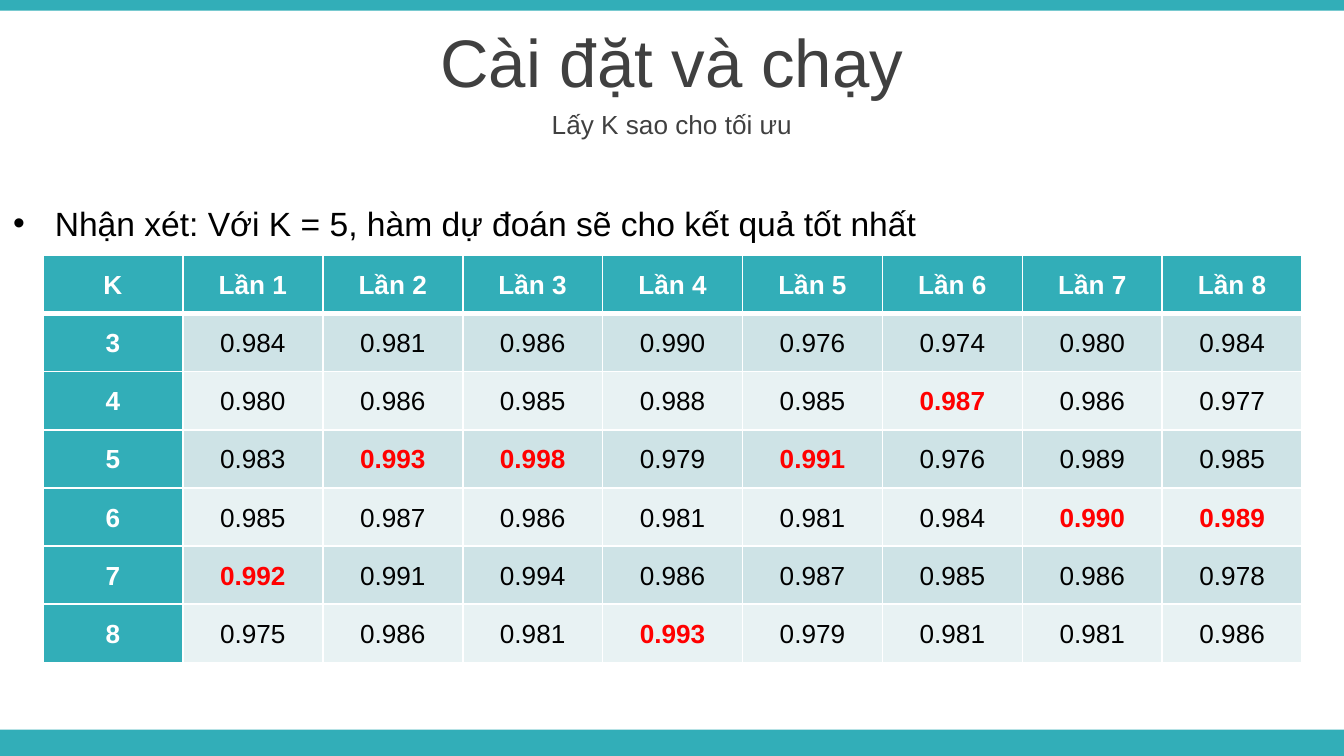
from dataclasses import dataclass

from lxml import etree
from pptx import Presentation
from pptx.dml.color import RGBColor
from pptx.enum.shapes import MSO_SHAPE
from pptx.enum.text import MSO_ANCHOR, PP_ALIGN
from pptx.oxml.ns import qn
from pptx.util import Inches, Pt

RECT = MSO_SHAPE.RECTANGLE
MIDDLE, TOP = MSO_ANCHOR.MIDDLE, MSO_ANCHOR.TOP
LEFT, CENTER = PP_ALIGN.LEFT, PP_ALIGN.CENTER

# A wide 16:9 page
WIDTH = Inches(10)
HEIGHT = WIDTH * 9 // 16

FONT = "Arial"
COLORS = {
    "teal": "32AEB8",
    "dark": "CEE3E6",
    "light": "E8F2F3",
    "gray": "404040",
    "black": "000000",
    "white": "FFFFFF",
    "red": "FF0000",
}


@dataclass
class Bar:
    top: float
    height: float


@dataclass
class Label:
    text: str
    top: float
    height: float
    size: int
    color: str = "gray"
    align: PP_ALIGN = CENTER
    anchor: MSO_ANCHOR = MIDDLE
    before: float = 0
    bullet: bool = False


BARS = [Bar(5.43, 0.2), Bar(0, 0.08)]
TITLES = [
    Label("Cài đặt và chạy", 0.14, 0.63, 36, before=7.2),
    Label("Lấy K sao cho tối ưu", 0.77, 0.31, 14, before=2.8),
]
NOTE = Label("Nhận xét: Với K = 5, hàm dự đoán sẽ cho kết quả tốt nhất",
             1.46, 0.4, 18, "black", LEFT, TOP, bullet=True)

# Score of each run, by K
SCORES = {
    3: [0.984, 0.981, 0.986, 0.990, 0.976, 0.974, 0.980, 0.984],
    4: [0.980, 0.986, 0.985, 0.988, 0.985, 0.987, 0.986, 0.977],
    5: [0.983, 0.993, 0.998, 0.979, 0.991, 0.976, 0.989, 0.985],
    6: [0.985, 0.987, 0.986, 0.981, 0.981, 0.984, 0.990, 0.989],
    7: [0.992, 0.991, 0.994, 0.986, 0.987, 0.985, 0.986, 0.978],
    8: [0.975, 0.986, 0.981, 0.993, 0.979, 0.981, 0.981, 0.986],
}


def rgb(name: str) -> RGBColor:
    return RGBColor.from_string(COLORS[name])


def put(target, form: dict) -> None:
    for key, value in form.items():
        setattr(target, key, value)


def write(para, text: str, size: int, color: str, bold: bool = False) -> None:
    run = para.add_run()
    run.text = text
    put(run.font, {"name": FONT, "size": Pt(size), "bold": bold})
    run.font.color.rgb = rgb(color)


def draw_bar(slide, bar: Bar) -> None:
    shape = slide.shapes.add_shape(
        RECT, 0, Inches(bar.top), WIDTH, Inches(bar.height))
    shape.shadow.inherit = False
    shape.fill.solid()
    shape.fill.fore_color.rgb = rgb("teal")
    shape.line.fill.background()


def draw_label(slide, label: Label) -> None:
    box = slide.shapes.add_textbox(
        0, Inches(label.top), WIDTH, Inches(label.height))
    put(box.text_frame, {"word_wrap": True, "vertical_anchor": label.anchor})
    para = box.text_frame.paragraphs[0]
    put(para, {"alignment": label.align, "space_before": Pt(label.before)})
    if label.bullet:
        props = para._p.get_or_add_pPr()
        props.set("marL", str(Inches(0.31)))
        props.set("indent", str(Inches(-0.31)))
        etree.SubElement(props, qn("a:buFont"), typeface=FONT)
        etree.SubElement(props, qn("a:buChar"), char="•")
    write(para, label.text, label.size, label.color)


def add_edges(cell, row: int) -> None:
    # A thick rule parts the header from the body
    widths = {"L": 1, "R": 1, "T": 3 if row == 1 else 1, "B": 3 if row == 0 else 1}
    props = cell._tc.get_or_add_tcPr()
    for side, width in widths.items():
        line = etree.SubElement(props, qn(f"a:ln{side}"), w=str(Pt(width)))
        fill = etree.SubElement(line, qn("a:solidFill"))
        etree.SubElement(fill, qn("a:srgbClr"), val=COLORS["white"])


def draw_cell(cell, row: int, text: str, fill: str, color: str, bold: bool) -> None:
    add_edges(cell, row)
    cell.fill.solid()
    cell.fill.fore_color.rgb = rgb(fill)
    put(cell, {"vertical_anchor": MIDDLE, "margin_top": 0, "margin_bottom": 0,
               "margin_left": Inches(0.1), "margin_right": Inches(0.1)})
    para = cell.text_frame.paragraphs[0]
    put(para, {"alignment": CENTER, "line_spacing": 1.07, "space_after": Pt(8)})
    write(para, text, 14, color, bold)


def draw_table(slide) -> None:
    best = [max(run) for run in zip(*SCORES.values())]
    heads = ["K"] + [f"Lần {n}" for n in range(1, len(best) + 1)]
    table = slide.shapes.add_table(
        len(SCORES) + 1, len(heads),
        Inches(0.32), Inches(1.9), Inches(9.37), Inches(3.03)).table

    for col, head in enumerate(heads):
        draw_cell(table.cell(0, col), 0, head, "teal", "white", True)
    for row, (k, scores) in enumerate(SCORES.items(), 1):
        draw_cell(table.cell(row, 0), row, str(k), "teal", "white", True)
        band = "dark" if row % 2 else "light"
        for col, (score, top) in enumerate(zip(scores, best), 1):
            # The best score of each run stands out
            won = score == top
            draw_cell(table.cell(row, col), row, f"{score:.3f}", band,
                      "red" if won else "black", won)


def main() -> None:
    deck = Presentation()
    put(deck, {"slide_width": WIDTH, "slide_height": HEIGHT})
    slide = deck.slides.add_slide(deck.slide_layouts[6])

    # Bars at the edges
    for bar in BARS:
        draw_bar(slide, bar)

    # Headings, scores and remark
    for title in TITLES:
        draw_label(slide, title)
    draw_table(slide)
    draw_label(slide, NOTE)

    deck.save("out.pptx")


if __name__ == "__main__":
    main()
